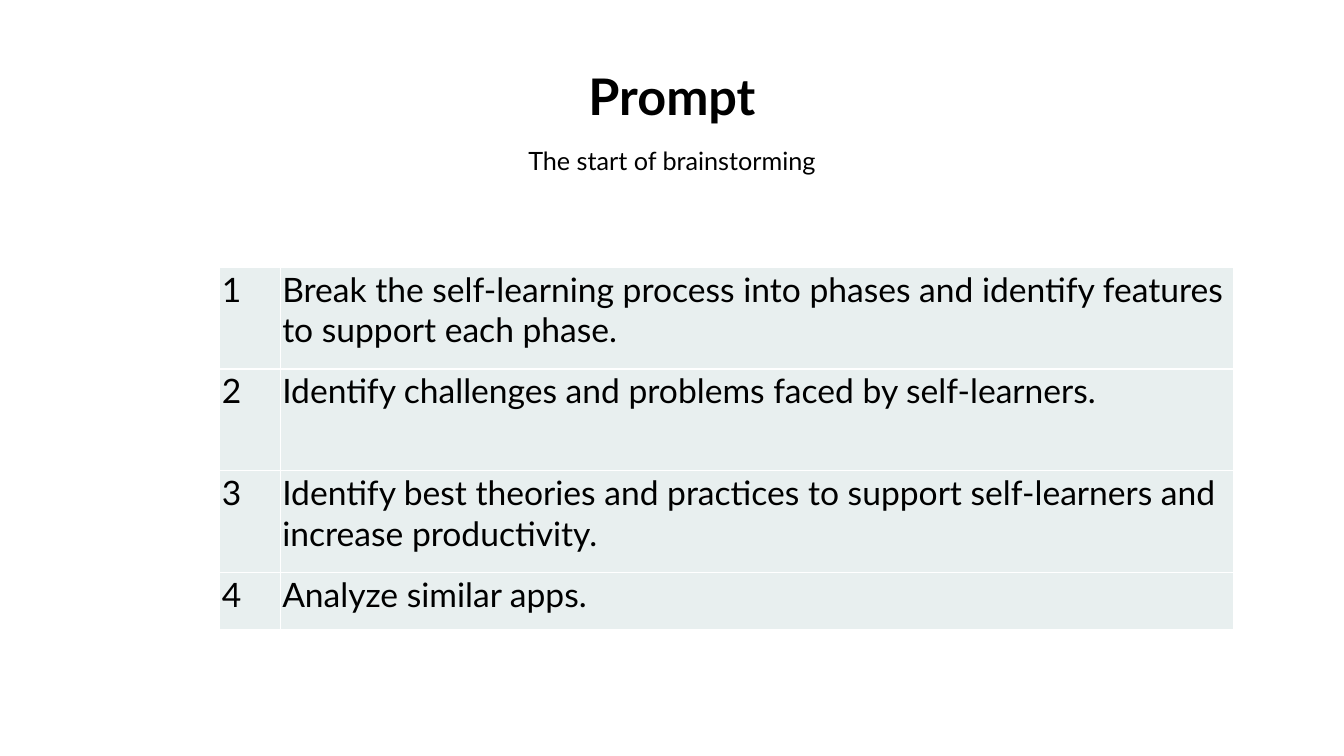
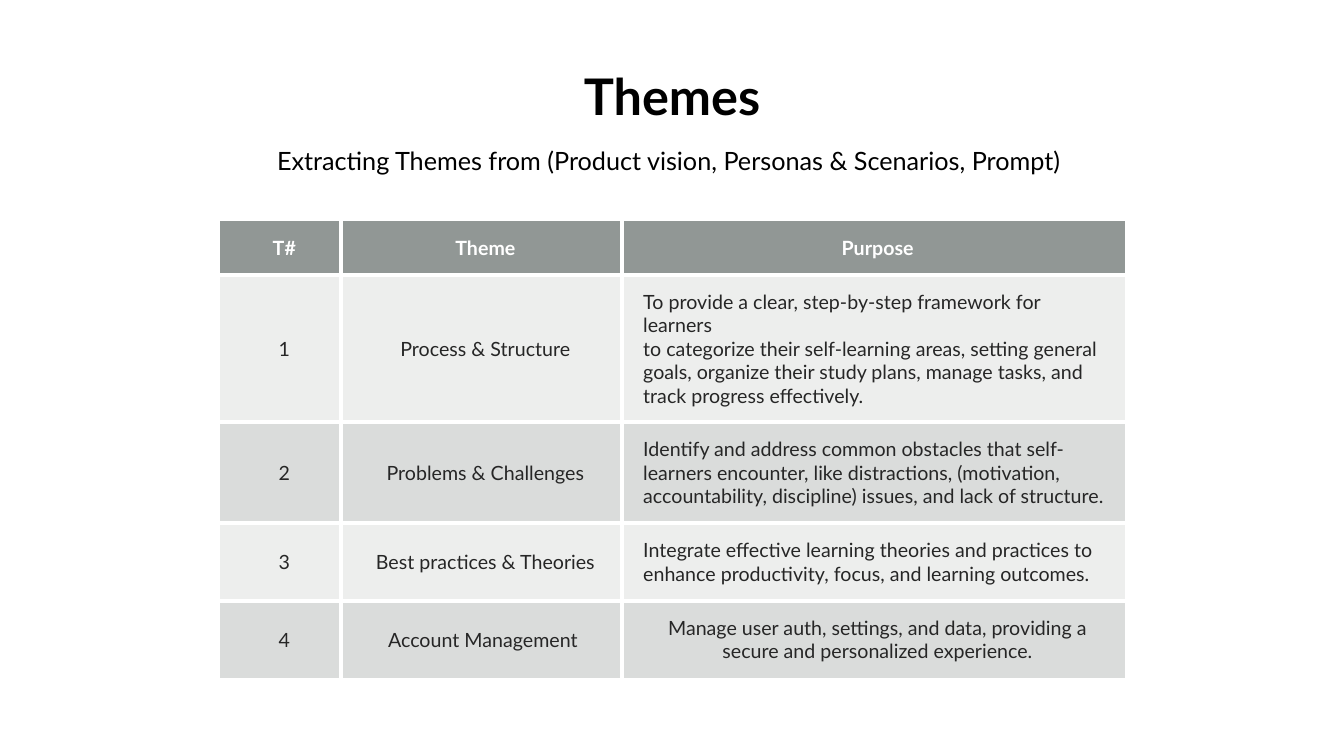
from dataclasses import dataclass

from lxml import etree
from pptx import Presentation
from pptx.dml.color import RGBColor
from pptx.enum.text import MSO_ANCHOR, MSO_AUTO_SIZE, PP_ALIGN
from pptx.oxml.ns import qn
from pptx.util import Pt

PX = 9144
CENTER, LEFT = PP_ALIGN.CENTER, PP_ALIGN.LEFT
TOP, MIDDLE, BOTTOM = MSO_ANCHOR.TOP, MSO_ANCHOR.MIDDLE, MSO_ANCHOR.BOTTOM
NO_AUTOFIT = MSO_AUTO_SIZE.NONE
SIDES = ("left", "top", "right", "bottom")


@dataclass(frozen=True)
class Theme:
    """Colours and type sizes shared by the slides."""
    font: str = "Lato"
    black: str = "000000"
    white: str = "FFFFFF"
    body: str = "262626"
    mint: str = "E8EFEF"
    header: str = "636B68"
    band: str = "878E8B"
    title_size: int = 36
    subtitle_size: int = 18
    prompt_size: int = 24
    theme_size: int = 14


THEME = Theme()


@dataclass(frozen=True)
class CellStyle:
    """Look of one table cell, with insets in px and opacity in percent."""
    fill: str
    size: int
    color: str
    insets: tuple
    anchor: MSO_ANCHOR
    opacity: int = 100
    bold: bool = False


def set_values(target, values):
    """Set each named attribute of the target."""
    for name, value in values.items():
        setattr(target, name, value)


class Deck:
    """Hold the presentation, its theme and the current slide."""

    def __init__(self, theme, width, height):
        """Start an empty presentation of the given size."""
        self.theme = theme
        self.presentation = Presentation()
        set_values(self.presentation, {"slide_width": width * PX, "slide_height": height * PX})
        self.slide = None

    def text(self, paragraph, text, size, color, bold=False, **layout):
        """Fill one formatted paragraph."""
        paragraph.text = text
        set_values(paragraph, layout)
        set_values(paragraph.font, {"name": self.theme.font, "size": Pt(size), "bold": bold})
        paragraph.font.color.rgb = RGBColor.from_string(color)

    def heading(self, placeholder, text, top, height, anchor, size, line_spacing, bold):
        """Place and fill one centred heading placeholder."""
        set_values(placeholder, {"left": 189 * PX, "top": top * PX,
                                 "width": 955 * PX, "height": height * PX})
        frame = placeholder.text_frame
        set_values(frame, {"word_wrap": True, "auto_size": NO_AUTOFIT, "vertical_anchor": anchor})
        self.text(frame.paragraphs[0], text, size, self.theme.black, bold,
                  alignment=CENTER, line_spacing=line_spacing, space_before=Pt(0))

    def new_slide(self, title, subtitle):
        """Add a slide with its title and subtitle."""
        self.slide = self.presentation.slides.add_slide(self.presentation.slide_layouts[0])
        title_shape, subtitle_shape = self.slide.placeholders
        self.heading(title_shape, title, 55, 75, BOTTOM, self.theme.title_size, 0.9, True)
        self.heading(subtitle_shape, subtitle, 133, 46, TOP, self.theme.subtitle_size, 1.2, False)

    def borders(self, cell, tags, width):
        """Draw white lines on the tagged sides of a cell."""
        properties = cell._tc.get_or_add_tcPr()
        for tag in tags:
            line = etree.SubElement(properties, qn(f"a:{tag}"), w=str(Pt(width)))
            fill = etree.SubElement(line, qn("a:solidFill"))
            etree.SubElement(fill, qn("a:srgbClr"), val=self.theme.white)

    def cell(self, cell, text, style, alignment):
        """Fill one table cell with text and colour."""
        set_values(cell, {f"margin_{side}": inset * PX
                          for side, inset in zip(SIDES, style.insets)})
        cell.vertical_anchor = style.anchor
        cell.fill.solid()
        cell.fill.fore_color.rgb = RGBColor.from_string(style.fill)
        if style.opacity < 100:
            color = cell._tc.tcPr.find(f"{qn('a:solidFill')}/{qn('a:srgbClr')}")
            etree.SubElement(color, qn("a:alpha"), val=str(style.opacity * 1000))
        self.text(cell.text_frame.paragraphs[0], text, style.size, style.color,
                  style.bold, alignment=alignment)

    def table(self, left, top, widths, heights, rows, style_of, alignment_of, line_width):
        """Add a table with white lines between its cells."""
        table = self.slide.shapes.add_table(
            len(rows), len(widths), left * PX, top * PX,
            sum(widths) * PX, sum(heights) * PX).table
        set_values(table, {"first_row": False, "horz_banding": False})
        for column, width in zip(table.columns, widths):
            column.width = width * PX
        for row, height in zip(table.rows, heights):
            row.height = height * PX
        for r, texts in enumerate(rows):
            for c, text in enumerate(texts):
                inner = {"lnL": c > 0, "lnR": c < len(widths) - 1,
                         "lnT": r > 0, "lnB": r < len(rows) - 1}
                cell = table.cell(r, c)
                self.borders(cell, [tag for tag, shown in inner.items() if shown], line_width)
                self.cell(cell, text, style_of(r), alignment_of(r, c))


PROMPTS = [
    "Break the self-learning process into phases and identify features to support each phase.",
    "Identify challenges and problems faced by self-learners.",
    "Identify best theories and practices to support self-learners and increase productivity.",
    "Analyze similar apps.",
]

THEMES = [
    ("T#", "Theme", "Purpose"),
    ("1", "Process & Structure",
     "To provide a clear, step-by-step framework for learners\n"
     "to categorize their self-learning areas, setting general goals, organize their "
     "study plans, manage tasks, and track progress effectively."),
    ("2", "Problems & Challenges",
     "Identify and address common obstacles that self-learners encounter, like "
     "distractions, (motivation, accountability, discipline) issues, and lack of structure."),
    ("3", "Best practices & Theories",
     "Integrate effective learning theories and practices to enhance productivity, "
     "focus, and learning outcomes."),
    ("4", "Account Management ",
     "Manage user auth, settings, and data, providing a secure and personalized experience."),
]

PROMPT_CELL = CellStyle(THEME.mint, THEME.prompt_size, THEME.black, (2, 2, 2, 0), TOP)
THEME_INSETS = (21, 13, 13, 13)
HEADER_CELL = CellStyle(THEME.header, THEME.theme_size, THEME.white, THEME_INSETS, MIDDLE, 70, True)
ODD_CELL, EVEN_CELL = (
    CellStyle(THEME.band, THEME.theme_size, THEME.body, THEME_INSETS, MIDDLE, opacity)
    for opacity in (15, 30))


def theme_style(row):
    """Choose the header style or one of the two bands."""
    if row == 0:
        return HEADER_CELL
    return ODD_CELL if row % 2 else EVEN_CELL


def theme_alignment(row, column):
    """Set the first three purposes to the left and centre the rest."""
    return LEFT if column == 2 and 1 <= row <= 3 else CENTER


def main():
    """Build and save both slides."""
    deck = Deck(THEME, 1333, 750)

    deck.new_slide("Prompt", "The start of brainstorming")
    prompts = [(str(number), text) for number, text in enumerate(PROMPTS, 1)]
    deck.table(218, 265, (60, 946), (101, 101, 101, 57), prompts,
               lambda row: PROMPT_CELL, lambda row, column: LEFT, 1)

    deck.new_slide("Themes",
                   "Extracting Themes from (Product vision, Personas & Scenarios, Prompt) ")
    deck.table(218, 219, (120, 279, 499), (54, 146, 100, 77, 77), THEMES,
               theme_style, theme_alignment, 3)

    deck.presentation.save("out.pptx")


if __name__ == "__main__":
    main()
